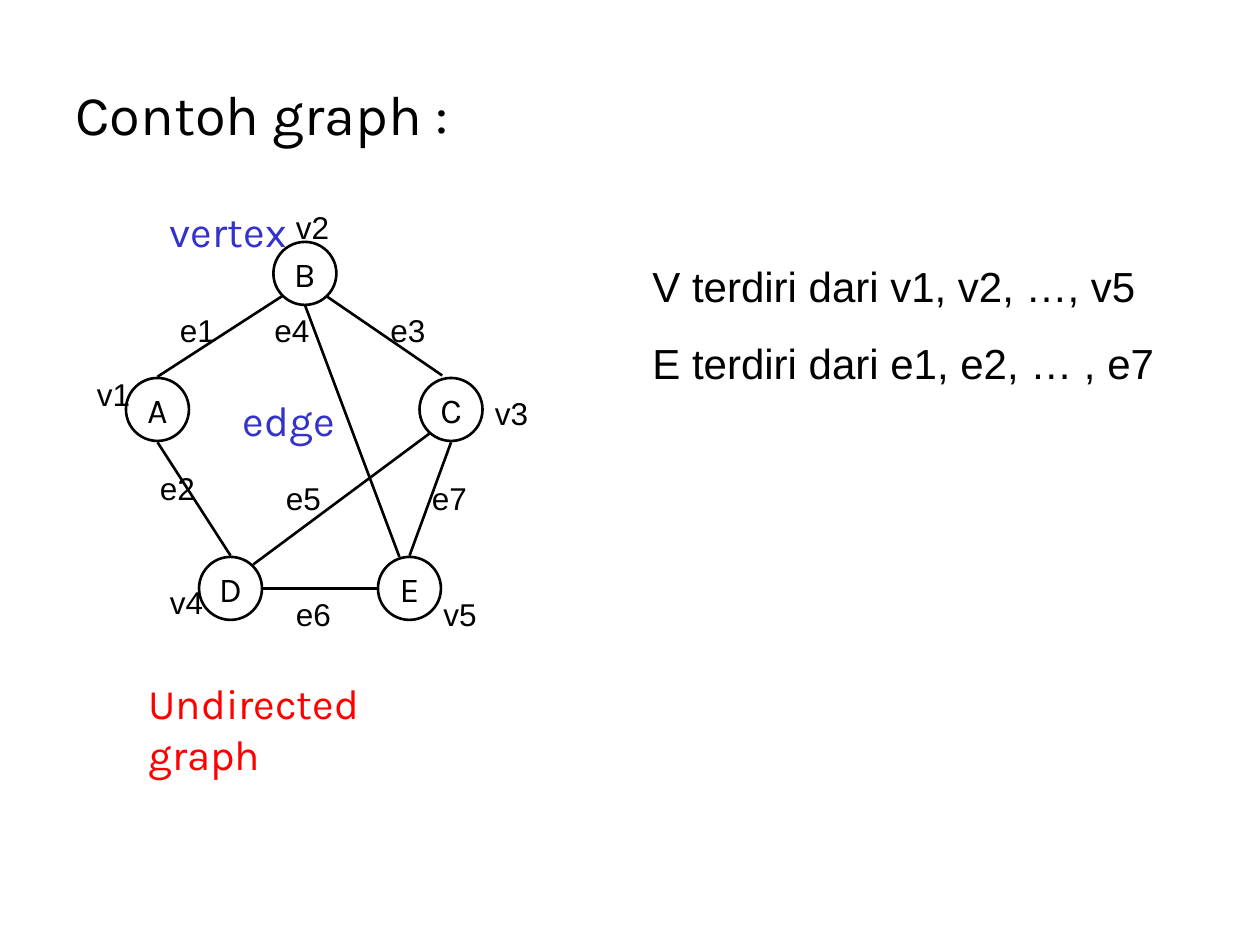
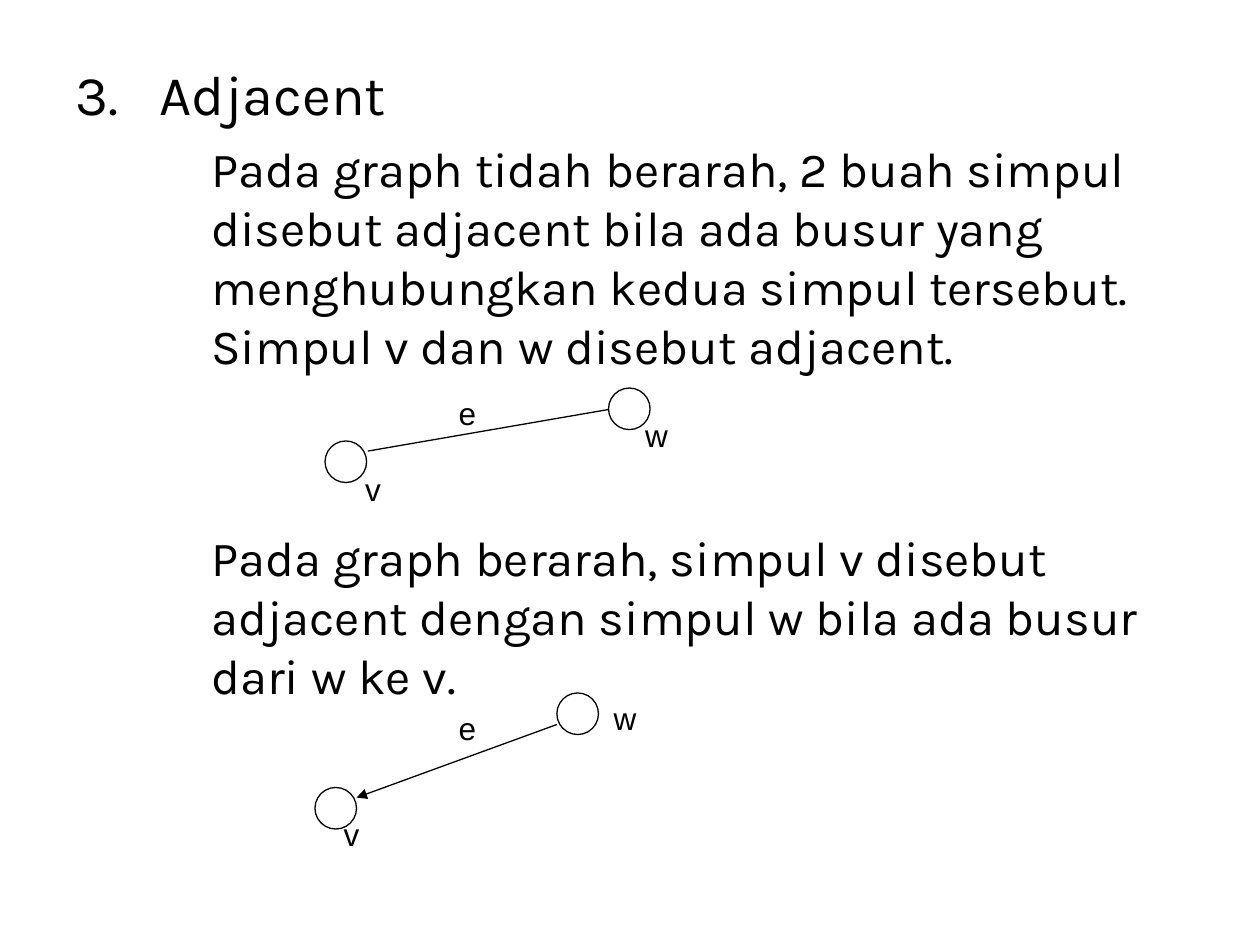
from lxml import etree
from pptx import Presentation
from pptx.dml.color import RGBColor
from pptx.enum import shapes, text
from pptx.oxml import ns
from pptx.util import Inches, Pt

HUES = {"ink": "000000", "paper": "FFFFFF", "term": "3333CC", "kind": "FF0000"}
HEAD, PLAIN = "Karla", "Arial"
LEFT, MID = text.PP_ALIGN.LEFT, text.PP_ALIGN.CENTER


def write(frame, lines, size, font=HEAD, hue="ink", align=LEFT, gap=0):
    """Fill a frame with one paragraph a line, gap points apart."""
    for i, line in enumerate(lines):
        para = frame.add_paragraph() if i else frame.paragraphs[0]
        para.alignment = align
        para.space_before = Pt(gap if i else 0)
        run = para.add_run()
        run.text = line
        run.font.size = Pt(size)
        run.font.name = font
        run.font.color.rgb = RGBColor.from_string(HUES[hue])


def place(slide, box, fit=True):
    """Add a wrapping text box and return its frame."""
    frame = slide.shapes.add_textbox(*map(Inches, box)).text_frame
    frame.word_wrap = True
    if fit:
        frame.auto_size = text.MSO_AUTO_SIZE.SHAPE_TO_FIT_TEXT
    return frame


deck = Presentation()
deck.slide_width, deck.slide_height = Inches(10), Inches(7.5)
blank = deck.slide_layouts[6]

# Body text
graph = deck.slides.add_slide(blank)
write(place(graph, (0.5, 0.58, 9, 6.5), False), ["Contoh graph :"], 32)

near = deck.slides.add_slide(blank)
body = place(near, (0.5, 0.42, 9, 6.28), False)
write(body, ["Adjacent"], 32)
props = body.paragraphs[0]._p.get_or_add_pPr()
props.set("marL", str(Inches(0.67)))
props.set("indent", str(-Inches(0.67)))
etree.SubElement(props, ns.qn("a:buAutoNum"), type="arabicPeriod", startAt="3")

for gap, line in (
    (7, "Pada graph tidah berarah, 2 buah simpul disebut adjacent bila ada busur "
        "yang menghubungkan kedua simpul tersebut. Simpul v dan w disebut adjacent."),
    (88, "Pada graph berarah, simpul v disebut adjacent dengan simpul w bila ada "
         "busur dari w ke v."),
):
    para = body.add_paragraph()
    para.space_before = Pt(gap)
    para._p.get_or_add_pPr().set("marL", str(Inches(1.08)))
    run = para.add_run()
    run.text = line
    run.font.size = Pt(28)
    run.font.name = HEAD
    run.font.color.rgb = RGBColor.from_string(HUES["ink"])

# Diagrams: rings are name, left, top; edges are x, y, x, y; tags are text, left, top
plans = [
    dict(
        slide=graph, ring=0.5, fill=None, width=1.5, tag=0.5, align=LEFT,
        rings=[("B", 2.17, 1.92), ("A", 1, 3), ("C", 3.33, 3),
               ("D", 1.58, 4.42), ("E", 3, 4.42)],
        edges=[(2.24, 2.35, 1.25, 2.99), (1.25, 3.51, 1.83, 4.41),
               (2.01, 4.48, 3.41, 3.44), (2.09, 4.67, 2.99, 4.67),
               (3.58, 3.51, 3.25, 4.41), (2.59, 2.35, 3.51, 2.98),
               (3.17, 4.42, 2.42, 2.42)],
        arrows=[],
        tags=[("e1", 1.33, 2.42), ("e3", 3, 2.42), ("e4", 2.08, 2.42),
              ("e7", 3.33, 3.75), ("e5", 2.17, 3.75), ("e2", 1.17, 3.67),
              ("e6", 2.25, 4.67), ("v1", 0.67, 2.93), ("v2", 2.25, 1.6),
              ("v4", 1.25, 4.58), ("v5", 3.42, 4.67), ("v3", 3.83, 3.08)],
    ),
    dict(
        slide=near, ring=0.33, fill="paper", width=0.75, tag=0.58, align=MID,
        rings=[("", 2.58, 3.5), ("", 4.83, 3.08), ("", 4.42, 5.5), ("", 2.5, 6.25)],
        edges=[(2.92, 3.58, 4.83, 3.25)],
        arrows=[(4.42, 5.75, 2.83, 6.33)],
        tags=[("w", 4.92, 3.25), ("e", 3.42, 3.08), ("v", 2.67, 3.68),
              ("v", 2.5, 6.42), ("e", 3.42, 5.58), ("w", 4.67, 5.5)],
    ),
]

for plan in plans:
    slide = plan["slide"]
    side = Inches(plan["ring"])
    for name, x, y in plan["rings"]:
        ring = slide.shapes.add_shape(
            shapes.MSO_SHAPE.OVAL, Inches(x), Inches(y), side, side)
        ring.shadow.inherit = False
        if plan["fill"]:
            ring.fill.solid()
            ring.fill.fore_color.rgb = RGBColor.from_string(HUES[plan["fill"]])
        else:
            ring.fill.background()
        ring.line.color.rgb = RGBColor.from_string(HUES["ink"])
        ring.line.width = Pt(plan["width"])
        if name:
            ring.text_frame.word_wrap = False
            ring.text_frame.vertical_anchor = text.MSO_ANCHOR.MIDDLE
            write(ring.text_frame, [name], 20, align=MID)

    for ends in plan["edges"] + plan["arrows"]:
        edge = slide.shapes.add_connector(
            shapes.MSO_CONNECTOR.STRAIGHT, *map(Inches, ends))
        edge.line.color.rgb = RGBColor.from_string(HUES["ink"])
        edge.line.width = Pt(plan["width"])
        if ends in plan["arrows"]:
            etree.SubElement(edge.line._get_or_add_ln(), ns.qn("a:tailEnd"),
                             type="triangle")
        etree.SubElement(edge._element.spPr, ns.qn("a:effectLst"))

    for tag, x, y in plan["tags"]:
        write(place(slide, (x, y, plan["tag"], 0.4)), [tag], 18, PLAIN,
              align=plan["align"])

# Terms and summary beside the first graph
for term, hue, box in (
    ("Undirected graph", "kind", (1.08, 5.33, 2.75, 0.9)),
    ("vertex", "term", (1.25, 1.58, 1.25, 0.5)),
    ("edge", "term", (1.83, 3.08, 1.25, 0.5)),
):
    write(place(graph, box), [term], 24, hue=hue)

write(place(graph, (5.08, 2.02, 4.5, 1.11)),
      ["V terdiri dari v1, v2, …, v5", "E terdiri dari e1, e2, … , e7"],
      24, PLAIN, gap=15)

deck.save("out.pptx")
